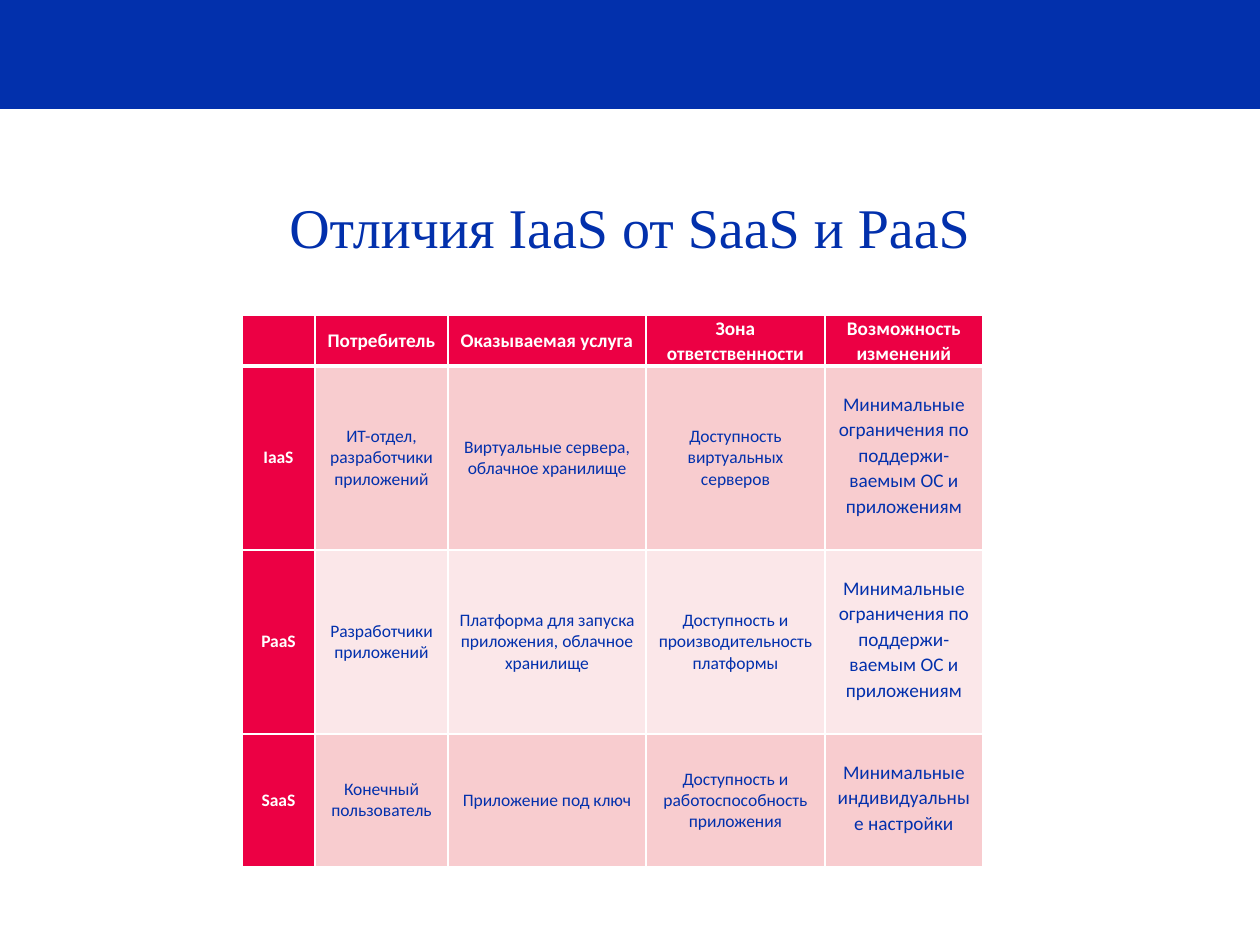
"""Slide comparing IaaS, PaaS and SaaS in one table."""
from lxml import etree
from pptx import Presentation
from pptx import util as u
from pptx.dml.color import RGBColor
from pptx.enum import shapes, text
from pptx.oxml.ns import qn

THEME = {
    "blue": RGBColor.from_string("0230AC"),
    "red": RGBColor.from_string("EC0044"),
    "white": RGBColor.from_string("FFFFFF"),
    "bands": [RGBColor.from_string("FBE7E9"), RGBColor.from_string("F8CCCF")],
    "title_font": "Times New Roman",
    "table_font": "Calibri",
    "title_size": u.Pt(32),
    "large_size": u.Pt(11),
    "small_size": u.Pt(10),
    "thin": u.Pt(1),
    "thick": u.Pt(3),
}
COLUMNS = [73, 133, 198, 179, 158]
ROWS = [50, 184, 184, 133]
CONTENT = [
    ["", "Потребитель", "Оказываемая услуга", "Зона ответственности", "Возможность изменений"],
    ["IaaS", "ИТ-отдел, разработчики приложений", "Виртуальные сервера, облачное хранилище",
     "Доступность виртуальных серверов",
     "Минимальные ограничения по поддержи-ваемым ОС и приложениям"],
    ["PaaS", "Разработчики приложений", "Платформа для запуска приложения, облачное хранилище",
     "Доступность и производительность платформы",
     "Минимальные ограничения по поддержи-ваемым ОС и приложениям"],
    ["SaaS", "Конечный пользователь", "Приложение под ключ",
     "Доступность и работоспособность приложения", "Минимальные индивидуальные настройки"],
]


def px(length):
    return round(length * 914400 / 126)


def write(paragraph, words, color, **font_format):
    paragraph.alignment = text.PP_ALIGN.CENTER
    run = paragraph.add_run()
    run.text = words
    run.font.color.rgb = color
    for key, value in font_format.items():
        setattr(run.font, key, value)


deck = Presentation()
deck.slide_width, deck.slide_height = px(1260), px(945)
slide = deck.slides.add_slide(deck.slide_layouts[6])

banner = slide.shapes.add_shape(shapes.MSO_SHAPE.RECTANGLE, 0, 0, px(1260), px(109))
banner.shadow.inherit = False
banner.fill.solid()
banner.fill.fore_color.rgb = THEME["blue"]
banner.line.fill.background()

comparison = slide.shapes.add_table(
    len(ROWS), len(COLUMNS), px(242), px(315), px(sum(COLUMNS)), px(sum(ROWS))).table
for column, width in zip(comparison.columns, COLUMNS):
    column.width = px(width)
for row, height in zip(comparison.rows, ROWS):
    row.height = px(height)

for r, entries in enumerate(CONTENT):
    for c, words in enumerate(entries):
        cell = comparison.cell(r, c)
        heading = r == 0 or c == 0
        large = r == 0 or c == len(COLUMNS) - 1
        cell_format = {
            "vertical_anchor": text.MSO_ANCHOR.MIDDLE,
            "margin_left": px(9),
            "margin_right": px(9),
            "margin_top": 0,
            "margin_bottom": px(6) if large and r else 0,
        }
        for key, value in cell_format.items():
            setattr(cell, key, value)

        edges = dict.fromkeys(["a:lnL", "a:lnR", "a:lnT", "a:lnB"], THEME["thin"])
        if r < 2:
            edges["a:lnT" if r else "a:lnB"] = THEME["thick"]
        for edge, weight in edges.items():
            border = etree.SubElement(cell._tc.get_or_add_tcPr(), qn(edge), w=str(weight))
            paint = etree.SubElement(border, qn("a:solidFill"))
            etree.SubElement(paint, qn("a:srgbClr"), val=str(THEME["white"]))
        cell.fill.solid()
        cell.fill.fore_color.rgb = THEME["red"] if heading else THEME["bands"][r % 2]

        if words:
            paragraph = cell.text_frame.paragraphs[0]
            paragraph.line_spacing = 1.07 if large else 1.0
            write(paragraph, words, THEME["white" if heading else "blue"],
                  name=THEME["table_font"], bold=heading,
                  size=THEME["large_size" if large else "small_size"])

title = slide.shapes.add_textbox(px(63), px(170), px(1134), px(113)).text_frame
title.word_wrap = True
title.vertical_anchor = text.MSO_ANCHOR.MIDDLE
write(title.paragraphs[0], "Отличия IaaS от SaaS и PaaS", THEME["blue"],
      name=THEME["title_font"], size=THEME["title_size"])

deck.save("out.pptx")
